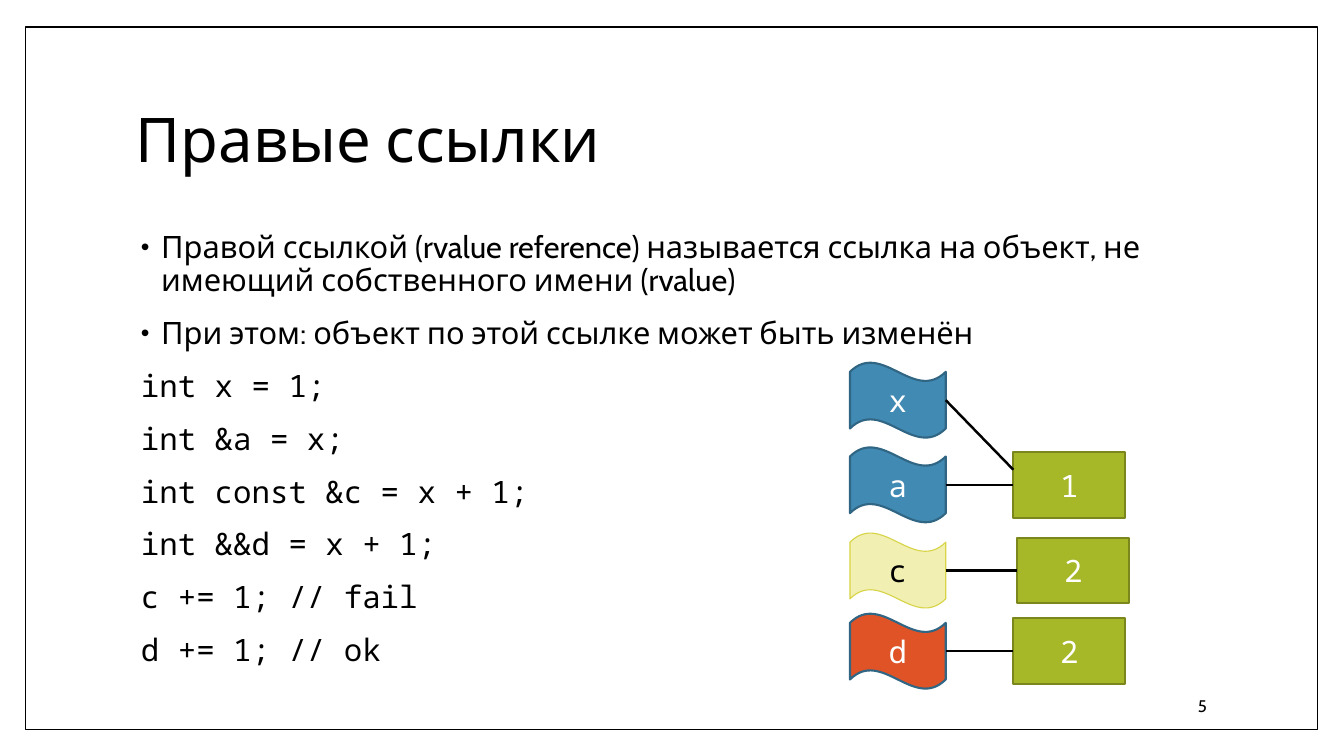
from pptx import Presentation
from pptx.dml.color import RGBColor
from pptx.enum.shapes import MSO_CONNECTOR, MSO_SHAPE
from pptx.enum.text import MSO_ANCHOR, PP_ALIGN
from pptx.oxml.ns import qn
from pptx.util import Inches, Pt
from lxml.etree import SubElement

COLORS = {
    "black": "000000", "white": "FFFFFF",
    "blue": "418AB3", "navy": "306684",
    "green": "A6B727", "olive": "7B871D",
    "cream": "F1F0B2", "yellow": "D7D447",
    "orange": "DF5327",
}
SANS, MONO = "Cabin", "Noto Sans Mono"


class Deck:
    def __init__(self, slide):
        self.s = slide

    def color(self, name):
        return RGBColor.from_string(COLORS[name])

    def style(self, p, size, font, color, align=PP_ALIGN.LEFT):
        p.alignment = align
        for r in p.runs:
            r.font.size = Pt(size)
            r.font.name = font
            r.font.color.rgb = self.color(color)

    def shape(self, kind, box, fill, line, width=1.5, text="", ink="white"):
        sp = self.s.shapes.add_shape(kind, *map(Inches, box))
        sp.shadow.inherit = False
        sp.fill.solid()
        sp.fill.fore_color.rgb = self.color(fill)
        sp.line.color.rgb = self.color(line)
        sp.line.width = Pt(width)
        if text:
            tf = sp.text_frame
            tf.text = text
            tf.vertical_anchor = MSO_ANCHOR.MIDDLE
            self.style(tf.paragraphs[0], 22, MONO, ink, PP_ALIGN.CENTER)

    def text(self, box, text, size, anchor=MSO_ANCHOR.MIDDLE, align=PP_ALIGN.LEFT):
        tf = self.s.shapes.add_textbox(*map(Inches, box)).text_frame
        tf.word_wrap = True
        tf.vertical_anchor = anchor
        tf.text = text
        for p in tf.paragraphs:
            p.line_spacing = 0.9
            self.style(p, size, SANS, "black", align)
        return tf

    def body(self, box, bullets, code):
        tf = self.text(box, "\n".join(bullets + code), 22, MSO_ANCHOR.TOP)
        for i, p in enumerate(tf.paragraphs):
            p.space_before = Pt(14)
            if i < len(bullets):
                self.bullet(p)
            else:
                p._p.get_or_add_pPr().set("marL", str(Inches(0.05)))
                self.style(p, 22, MONO, "black")

    def bullet(self, p):
        pPr = p._p.get_or_add_pPr()
        pPr.set("marL", str(Inches(0.25)))
        pPr.set("indent", str(Inches(-0.2)))
        clr = SubElement(pPr, qn("a:buClr"))
        SubElement(clr, qn("a:srgbClr"), val=COLORS["black"])
        SubElement(pPr, qn("a:buSzPct"), val="80000")
        SubElement(pPr, qn("a:buFont"), typeface="Arial")
        SubElement(pPr, qn("a:buChar"), char="•")

    def line(self, x1, y1, x2, y2):
        ln = self.s.shapes.add_connector(
            MSO_CONNECTOR.STRAIGHT, *map(Inches, (x1, y1, x2, y2)))
        ln.line.color.rgb = self.color("black")
        ln.line.width = Pt(1.75)
        SubElement(ln._element.spPr, qn("a:effectLst"))


prs = Presentation()
prs.slide_width, prs.slide_height = Inches(13.33), Inches(7.5)
deck = Deck(prs.slides.add_slide(prs.slide_layouts[6]))

deck.shape(MSO_SHAPE.RECTANGLE, (0.25, 0.27, 12.82, 6.97), "white", "black", 1)
deck.text((1.25, 0.67, 10.8, 1.48), "Правые ссылки", 44)
deck.body(
    (1.25, 2.25, 10.8, 4.42),
    ["Правой ссылкой (rvalue reference) называется ссылка на объект, "
     "не имеющий собственного имени (rvalue)",
     "При этом: объект по этой ссылке может быть изменён"],
    ["int x = 1;", "int &a = x;", "int const &c = x + 1;",
     "int &&d = x + 1;", "c += 1; // fail", "d += 1; // ok"])

NAME_X, NAME_W, NAME_H = 8.43, 0.95, 0.75
VALUE_W, VALUE_H = 1.11, 0.65
names = [
    ("x", 3.97, "blue", "navy", 1.5, "white"),
    ("a", 4.81, "blue", "navy", 1.5, "white"),
    ("c", 5.66, "cream", "yellow", 0.79, "black"),
    ("d", 6.46, "orange", "navy", 1.5, "white"),
]
values = [("1", 10.05, 4.81), ("2", 10.09, 5.66), ("2", 10.05, 6.46)]
links = [(3.97, 10.05, 4.66)] + [(y, x, y) for _, x, y in values]

for name, y, fill, line, width, ink in names:
    deck.shape(MSO_SHAPE.WAVE, (NAME_X, y - NAME_H / 2, NAME_W, NAME_H),
               fill, line, width, name, ink)
for value, x, y in values:
    deck.shape(MSO_SHAPE.RECTANGLE, (x, y - VALUE_H / 2, VALUE_W, VALUE_H),
               "green", "olive", text=value)
for name_y, value_x, value_y in links:
    deck.line(NAME_X + NAME_W, name_y, value_x, value_y)

deck.text((10.2, 6.81, 1.87, 0.4), "5", 12, align=PP_ALIGN.RIGHT)

prs.save("out.pptx")
